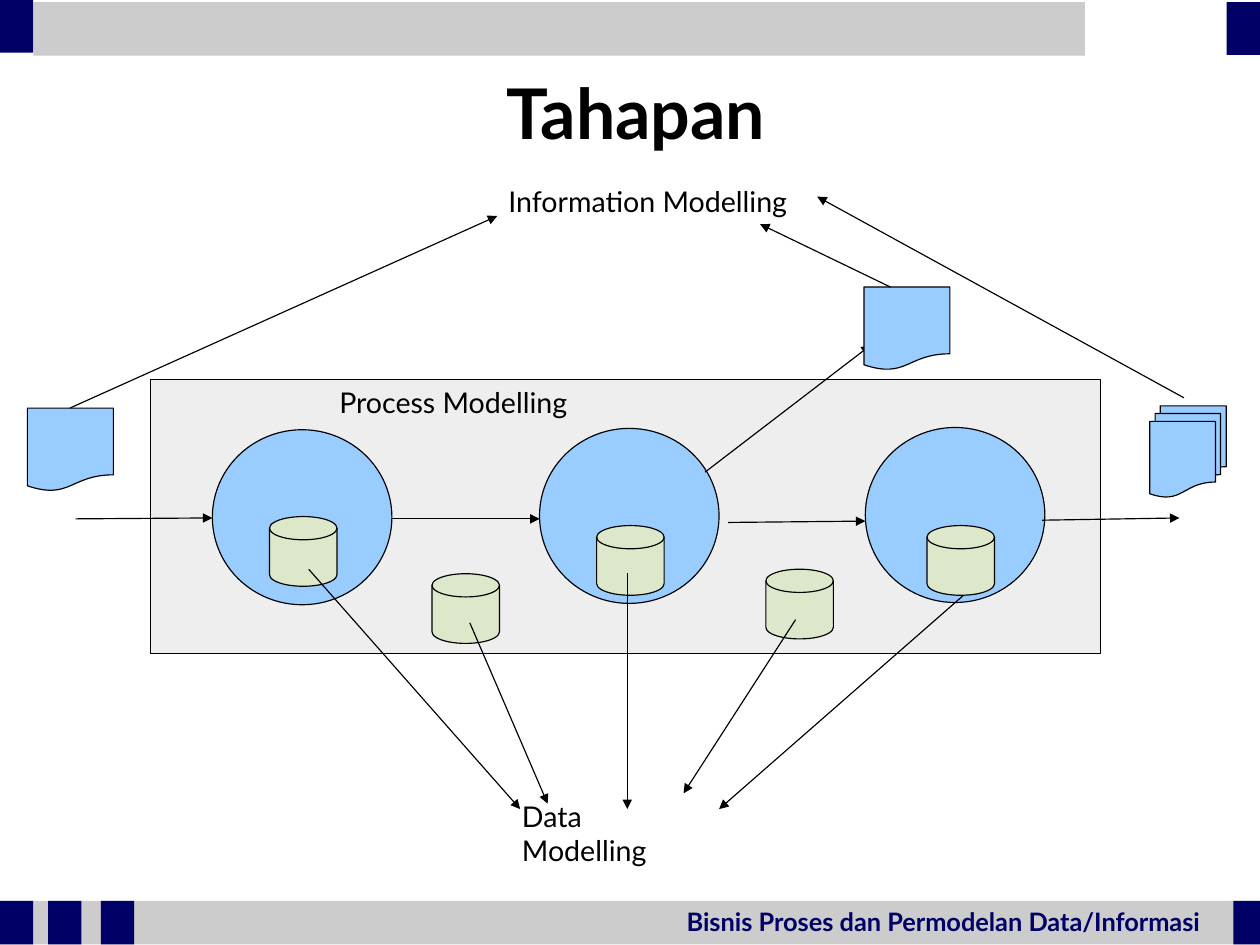
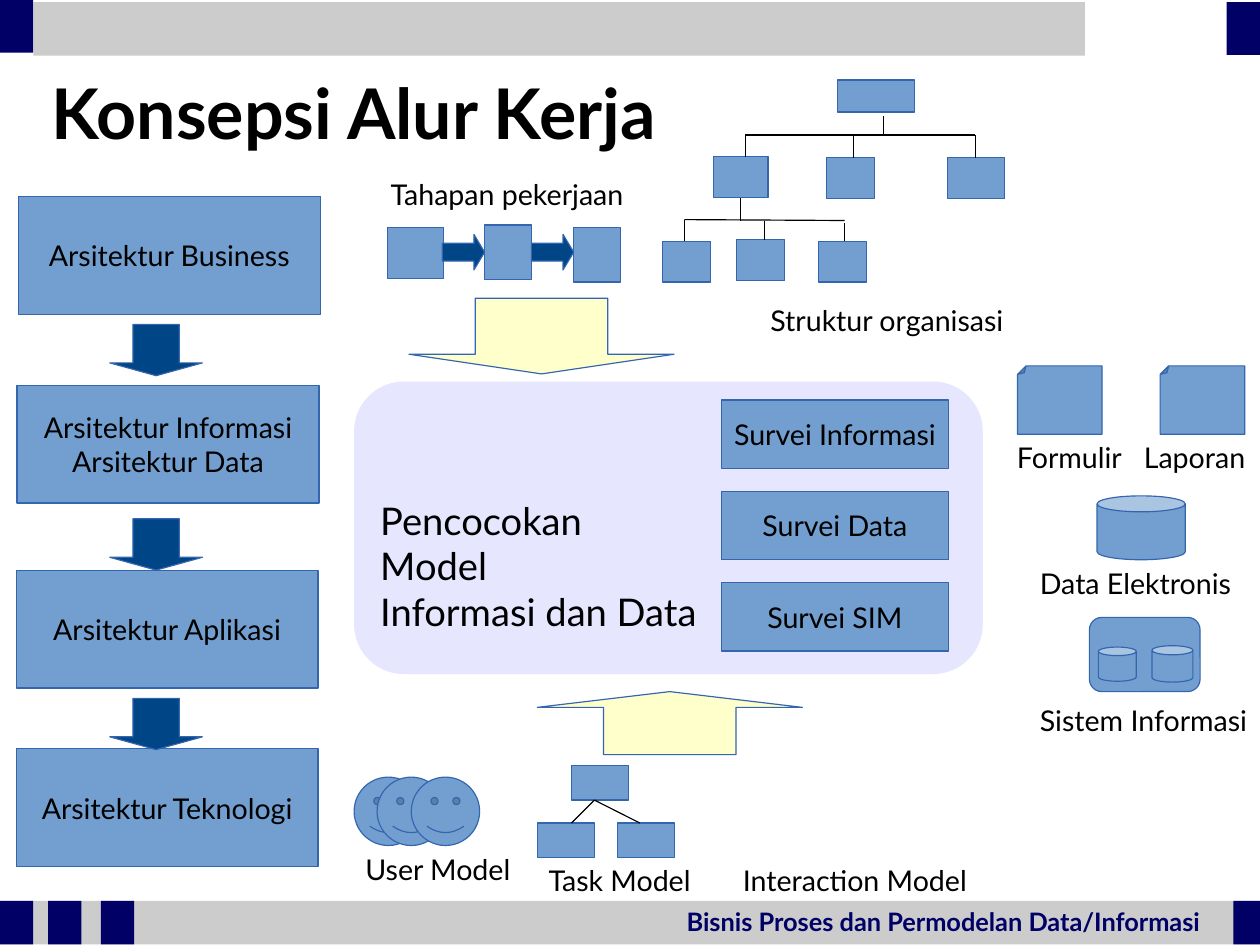
from dataclasses import dataclass
from typing import NamedTuple, Optional, Sequence

from lxml import etree
from pptx import Presentation
from pptx import util as u
from pptx.dml.color import RGBColor
from pptx.enum import shapes, text
from pptx.oxml.ns import qn

KIND = shapes.MSO_SHAPE


@dataclass(frozen=True)
class Theme:
    font: str = "Lato"
    title_size: int = 44
    heading_size: int = 24
    body_size: int = 18
    footer_size: int = 16
    line_width: float = 0.75
    black: str = "000000"
    navy: str = "000066"
    band: str = "CCCCCC"
    panel: str = "EEEEEE"
    sky: str = "99CCFF"
    sage: str = "DDE8CB"
    steel: str = "729FCF"
    steel_line: str = "3465AF"
    ocean: str = "004586"
    lavender: str = "E6E6FF"
    cream: str = "FFFFCC"


THEME = Theme()


class Paint(NamedTuple):
    fill: str
    line: Optional[str] = None


NAVY = Paint(THEME.navy)
BAND = Paint(THEME.band)
PANEL = Paint(THEME.panel, THEME.black)
SKY = Paint(THEME.sky, THEME.black)
SAGE = Paint(THEME.sage, THEME.black)
STEEL = Paint(THEME.steel, THEME.steel_line)
OCEAN = Paint(THEME.ocean, THEME.steel_line)
LAVENDER = Paint(THEME.lavender)
CREAM = Paint(THEME.cream, THEME.steel_line)


class Area(NamedTuple):
    """Left, top, width and height in centimetres."""
    left: float
    top: float
    width: float
    height: float

    def lengths(self) -> list[u.Length]:
        return [u.Cm(value) for value in self]


class Link(NamedTuple):
    """Start and end points in centimetres."""
    x1: float
    y1: float
    x2: float
    y2: float


class Label(NamedTuple):
    words: str
    left: float
    top: float
    width: float
    height: float = 1.02


# Drawing helpers

def write(frame, words: str, size: int, color: str = THEME.black,
          bold: bool = False, centred: bool = False) -> None:
    """Fill a text frame; a newline starts a paragraph, \\v breaks a line."""
    frame.text = words
    for para in frame.paragraphs:
        para.alignment = text.PP_ALIGN.CENTER if centred else text.PP_ALIGN.LEFT
        para.font.name = THEME.font
        para.font.size = u.Pt(size)
        para.font.bold = bold
        para.font.color.rgb = RGBColor.from_string(color)


def set_guides(box, values: Sequence[float]) -> None:
    """Set the preset's guides, including those python-pptx does not list."""
    guides = box._element.spPr.find(qn("a:prstGeom")).find(qn("a:avLst"))
    for guide in list(guides):
        guides.remove(guide)
    for number, value in enumerate(values, 1):
        name = f"adj{number}" if len(values) > 1 else "adj"
        etree.SubElement(guides, qn("a:gd"), name=name,
                         fmla=f"val {round(value * 100000)}")


def add_box(page, kind, area: Area, paint: Paint, words: str = "",
            adjust: Sequence[float] = (), rotation: float = 0) -> None:
    box = page.shapes.add_shape(kind, *area.lengths())
    box.shadow.inherit = False
    box.rotation = rotation
    box.fill.solid()
    box.fill.fore_color.rgb = RGBColor.from_string(paint.fill)
    if paint.line:
        box.line.color.rgb = RGBColor.from_string(paint.line)
        box.line.width = u.Pt(THEME.line_width)
    else:
        box.line.fill.background()
    if adjust:
        set_guides(box, adjust)
    if words:
        box.text_frame.word_wrap = False
        box.text_frame.vertical_anchor = text.MSO_ANCHOR.MIDDLE
        write(box.text_frame, words, THEME.body_size, centred=True)


def add_boxes(page, kind, places: Sequence[tuple[float, float]], width: float,
              height: float, paint: Paint, adjust: Sequence[float] = (),
              rotation: float = 0) -> None:
    for left, top in places:
        add_box(page, kind, Area(left, top, width, height), paint,
                adjust=adjust, rotation=rotation)


def add_links(page, links: Sequence[Link], arrow: bool = False) -> None:
    for link in links:
        line = page.shapes.add_connector(
            shapes.MSO_CONNECTOR.STRAIGHT, *(u.Cm(value) for value in link))
        line.line.color.rgb = RGBColor.from_string(THEME.black)
        line.line.width = u.Pt(THEME.line_width)
        properties = line._element.spPr
        if arrow:
            outline = properties.find(qn("a:ln"))
            etree.SubElement(outline, qn("a:tailEnd"), type="triangle")
        etree.SubElement(properties, qn("a:effectLst"))


def add_label(page, label: Label, size: int = THEME.body_size,
              color: str = THEME.black, bold: bool = False) -> None:
    box = page.shapes.add_textbox(*Area(*label[1:]).lengths())
    box.text_frame.word_wrap = True
    box.text_frame.margin_right = 0
    write(box.text_frame, label.words, size, color, bold)


def add_title(page, words: str, left: float, width: float) -> None:
    box = page.shapes.add_textbox(*Area(left, 1.42, width, 2.13).lengths())
    frame = box.text_frame
    frame.word_wrap = True
    frame.vertical_anchor = text.MSO_ANCHOR.MIDDLE
    frame.margin_left = frame.margin_right = 0
    frame.margin_top = frame.margin_bottom = 0
    write(frame, words, THEME.title_size, bold=True, centred=True)


def new_page(deck):
    """Add a blank slide with the shared bands and footer."""
    page = deck.slides.add_slide(deck.slide_layouts[6])
    add_box(page, KIND.RECTANGLE, Area(0, 20.02, 28, 0.97), BAND)
    add_label(page, Label("Bisnis Proses dan Permodelan Data/Informasi",
                          15.01, 20.02, 11.99, 0.91),
              THEME.footer_size, THEME.navy, bold=True)
    add_box(page, KIND.RECTANGLE, Area(27.41, 20.02, 0.59, 0.97), NAVY)
    add_boxes(page, KIND.RECTANGLE, [(0, 20.02), (1.07, 20.02), (2.24, 20.02)],
              0.74, 0.97, NAVY)
    add_box(page, KIND.RECTANGLE, Area(0.74, 0.05, 23.37, 1.19), BAND)
    add_boxes(page, KIND.RECTANGLE, [(27.26, 0.05), (0, 0)], 0.74, 1.17, NAVY)
    return page


def build_stages(deck) -> None:
    page = new_page(deck)
    add_box(page, KIND.RECTANGLE, Area(3.35, 8.43, 21.11, 6.1), PANEL)
    add_title(page, "Tahapan", 1.32, 25.63)

    # Processes and the flow between them
    add_boxes(page, KIND.OVAL, [(4.72, 9.55), (11.99, 9.52), (19.23, 9.5)],
              3.99, 3.89, SKY)
    add_links(page, [
        Link(8.71, 11.53, 11.99, 11.53),
        Link(16.18, 11.61, 19.23, 11.58),
        Link(1.68, 11.53, 4.72, 11.51),
        Link(23.16, 11.56, 26.21, 11.51),
        Link(15.67, 10.49, 19.35, 7.67),
    ], arrow=True)

    # Documents feeding the information model
    add_boxes(page, KIND.FLOWCHART_DOCUMENT, [(0.61, 9.07), (19.2, 6.38)],
              1.91, 1.85, SKY)
    add_box(page, KIND.FLOWCHART_MULTIDOCUMENT, Area(25.55, 9.02, 1.7, 2.03), SKY)
    add_links(page, [
        Link(1.55, 9.07, 11.05, 4.8),
        Link(26.31, 8.84, 18.16, 4.37),
        Link(19.79, 6.38, 16.89, 4.98),
    ], arrow=True)

    # Data stores feeding the data model
    add_boxes(page, KIND.FLOWCHART_MAGNETIC_DISK,
              [(5.99, 11.48), (9.6, 12.75), (13.26, 11.68), (20.6, 11.68),
               (17.02, 12.65)], 1.5, 1.55, SAGE)
    add_links(page, [
        Link(6.86, 12.65, 11.56, 17.98),
        Link(10.44, 13.84, 12.17, 17.86),
        Link(13.94, 12.73, 13.94, 17.98),
        Link(17.68, 13.77, 15.19, 17.63),
        Link(21.41, 13.23, 15.98, 17.98),
    ], arrow=True)

    for label in (Label("Process Modelling", 7.29, 8.43, 5.59),
                  Label("Information Modelling", 11.05, 3.96, 6.73),
                  Label("Data\vModelling", 11.35, 17.63, 4.9, 1.78)):
        add_label(page, label)


def build_workflow(deck) -> None:
    page = new_page(deck)
    add_title(page, "Konsepsi Alur Kerja", 0.18, 15.37)

    # Architecture column
    for words, left, top in (
            ("Arsitektur Business", 0.41, 4.37),
            ("Arsitektur Informasi\nArsitektur Data", 0.38, 8.56),
            ("Arsitektur Aplikasi", 0.36, 12.67),
            ("Arsitektur Teknologi", 0.36, 16.64)):
        add_box(page, KIND.RECTANGLE, Area(left, top, 6.71, 2.62), STEEL, words)
    add_boxes(page, KIND.DOWN_ARROW, [(2.44, 7.21), (2.44, 11.53), (2.44, 15.52)],
              2.06, 1.14, OCEAN, (0.5, 0.25))

    # Work steps
    for step in (Area(8.61, 5.05, 1.24, 1.14), Area(10.77, 5, 1.04, 1.22),
                 Area(12.75, 5.05, 1.04, 1.22)):
        add_box(page, KIND.RECTANGLE, step, STEEL)
    add_boxes(page, KIND.RIGHT_ARROW, [(9.83, 5.21), (11.81, 5.21)],
              0.94, 0.79, OCEAN, (0.5, 0.3))

    # Organisation chart
    for unit in (Area(18.62, 1.78, 1.7, 0.71), Area(15.85, 3.48, 1.22, 0.91),
                 Area(18.36, 3.51, 1.07, 0.91), Area(21.06, 3.51, 1.27, 0.91),
                 Area(14.73, 5.36, 1.07, 0.91), Area(16.36, 5.33, 1.07, 0.91),
                 Area(18.19, 5.36, 1.07, 0.91)):
        add_box(page, KIND.RECTANGLE, unit, STEEL)
    drops = ((19.63, 2.57, 3), (16.56, 3, 3.48), (18.97, 3, 3.51),
             (21.67, 3, 3.51), (16.46, 4.39, 4.9), (15.21, 4.88, 5.36),
             (16.99, 4.9, 5.33), (18.77, 4.95, 5.36))
    add_links(page, [Link(16.56, 3, 21.67, 3), Link(15.21, 4.88, 18.77, 4.9)]
              + [Link(x, top, x, bottom) for x, top, bottom in drops])

    # Matching panel with its surveys
    add_box(page, KIND.ROUNDED_RECTANGLE, Area(7.87, 8.48, 13.97, 6.5),
            LAVENDER, adjust=(0.17,))
    add_label(page, Label("Pencocokan\vModel\nInformasi dan Data",
                          8.2, 10.92, 7.54, 3.6), THEME.heading_size)
    add_box(page, KIND.DOWN_ARROW, Area(9.09, 6.63, 5.89, 1.68), CREAM,
            adjust=(0.5, 0.26))
    add_box(page, KIND.UP_ARROW, Area(11.94, 15.37, 5.89, 1.4), CREAM,
            adjust=(0.5, 0.25))
    for row, words in enumerate(("Survei Informasi", "Survei Data", "Survei SIM")):
        add_box(page, KIND.RECTANGLE, Area(16.03, 8.89 + 2.03 * row, 5.05, 1.52),
                STEEL, words)

    # Forms, reports, data and systems
    add_boxes(page, KIND.FOLDED_CORNER, [(22.61, 8.13), (25.78, 8.13)],
              1.88, 1.52, STEEL, (0.125,), rotation=180)
    add_box(page, KIND.CAN, Area(24.38, 11.02, 1.96, 1.42), STEEL)
    add_box(page, KIND.ROUNDED_RECTANGLE, Area(24.21, 13.72, 2.46, 1.65), STEEL)
    for store in (Area(24.41, 14.38, 0.84, 0.76), Area(25.6, 14.35, 0.91, 0.81)):
        add_box(page, KIND.CAN, store, STEEL)

    # Users and tasks
    add_boxes(page, KIND.SMILEY_FACE, [(7.87, 17.27), (8.38, 17.27), (9.14, 17.27)],
              1.52, 1.52, STEEL)
    add_boxes(page, KIND.RECTANGLE, [(12.7, 17.02), (11.94, 18.29), (13.72, 18.29)],
              1.27, 0.76, STEEL)
    add_links(page, [Link(13.21, 17.78, x, 18.29) for x in (12.7, 14.22)])

    for label in (Label("Tahapan pekerjaan", 8.43, 3.81, 5.79),
                  Label("Struktur organisasi", 16.87, 6.6, 5.79),
                  Label("Formulir", 22.35, 9.65, 2.92),
                  Label("Laporan", 25.17, 9.65, 2.77),
                  Label("Data Elektronis", 22.86, 12.45, 4.83),
                  Label("Sistem Informasi", 22.86, 15.49, 5.13),
                  Label("User Model", 7.87, 18.8, 3.81),
                  Label("Task Model", 11.94, 19.05, 3.81),
                  Label("Interaction Model", 16.26, 19.05, 5.51)):
        add_label(page, label)


def main() -> None:
    deck = Presentation()
    deck.slide_width = u.Cm(28)
    deck.slide_height = u.Cm(21)
    build_stages(deck)
    build_workflow(deck)
    deck.save("out.pptx")


if __name__ == "__main__":
    main()
